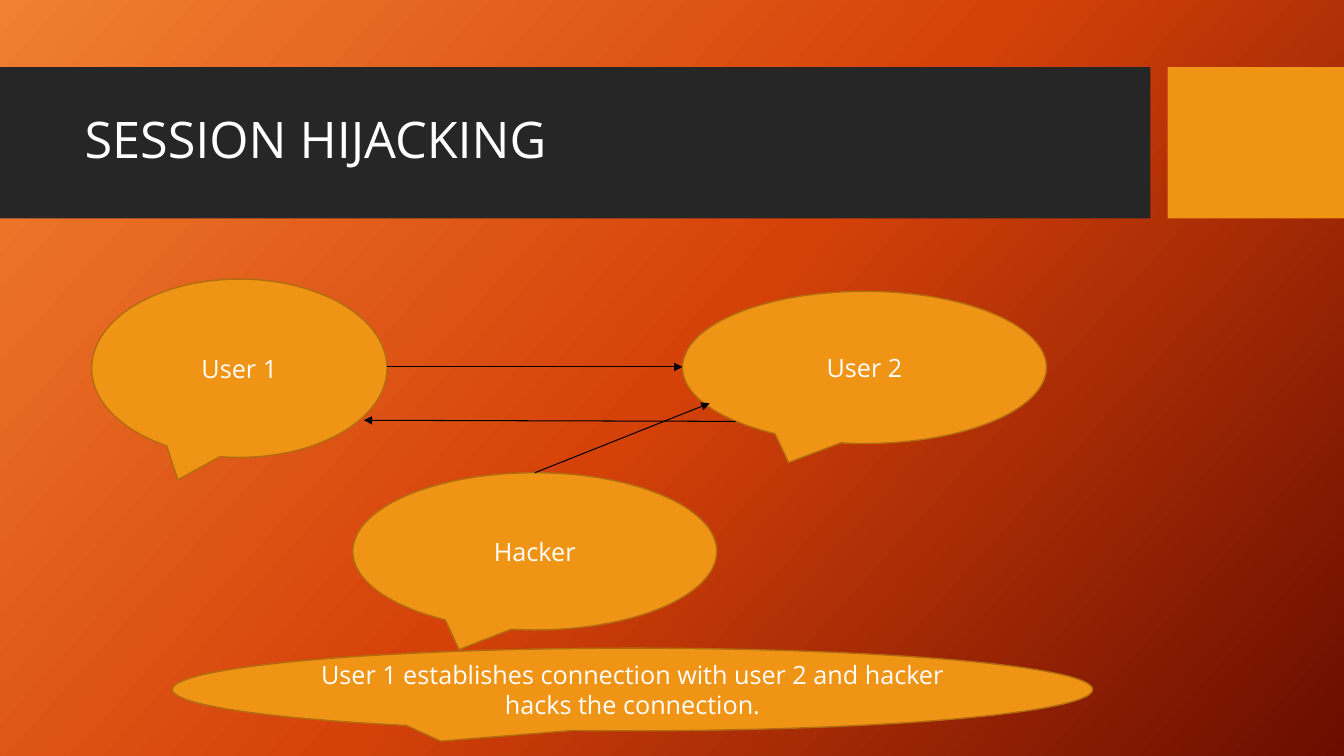
import copy
import pptx
import pptx.util
import pptx.dml.color
import pptx.enum.shapes
import pptx.enum.text
import pptx.oxml.ns
import pptx.oxml.xmlchemy

Pt = pptx.util.Pt
RGBColor = pptx.dml.color.RGBColor
MSO_SHAPE = pptx.enum.shapes.MSO_SHAPE
PP_ALIGN = pptx.enum.text.PP_ALIGN
qn = pptx.oxml.ns.qn

FONT = "Open Sans"
WHITE = RGBColor(0xFF, 0xFF, 0xFF)
BLACK = RGBColor(0x00, 0x00, 0x00)
CHARCOAL = RGBColor(0x26, 0x26, 0x26)
AMBER = RGBColor(0xF0, 0x94, 0x15)
BRONZE = RGBColor(0xB2, 0x6D, 0x10)
BACKGROUND_STOPS = [
    (0, RGBColor(0xF1, 0x80, 0x31)),
    (0.5, RGBColor(0xD5, 0x42, 0x09)),
    (1, RGBColor(0x6A, 0x0D, 0x00)),
]


def paint_background(slide):
    fill = slide.background.fill
    fill.gradient()
    fill.gradient_angle = 360 - 42
    stop_list = slide.element.find(".//" + qn("a:gsLst"))
    stop_list.append(copy.deepcopy(stop_list[-1]))
    for stop, (position, color) in zip(fill.gradient_stops, BACKGROUND_STOPS):
        stop.position = position
        stop.color.rgb = color


def write_text(shape, text, size, alignment):
    frame = shape.text_frame
    frame.word_wrap = True
    frame.vertical_anchor = pptx.enum.text.MSO_ANCHOR.MIDDLE
    paragraph = frame.paragraphs[0]
    paragraph.alignment = alignment
    run = paragraph.add_run()
    run.text = text
    run.font.name = FONT
    run.font.size = Pt(size)
    run.font.color.rgb = WHITE
    return paragraph


def add_filled_shape(slide, kind, left, top, width, height, color):
    shape = slide.shapes.add_shape(kind, Pt(left), Pt(top), Pt(width), Pt(height))
    shape.shadow.inherit = False
    shape.fill.solid()
    shape.fill.fore_color.rgb = color
    shape.line.fill.background()
    return shape


def add_callout(slide, left, top, width, height, text):
    callout = add_filled_shape(
        slide, MSO_SHAPE.OVAL_CALLOUT, left, top, width, height, AMBER)
    callout.line.color.rgb = BRONZE
    callout.line.width = Pt(1)
    write_text(callout, text, 18, PP_ALIGN.CENTER)


def add_arrow(slide, start_x, start_y, end_x, end_y):
    arrow = slide.shapes.add_connector(
        pptx.enum.shapes.MSO_CONNECTOR.STRAIGHT,
        Pt(start_x), Pt(start_y), Pt(end_x), Pt(end_y))
    arrow.line.color.rgb = BLACK
    arrow.line.width = Pt(0.75)
    head = pptx.oxml.xmlchemy.OxmlElement("a:tailEnd")
    head.set("type", "triangle")
    arrow.line._get_or_add_ln().append(head)
    properties = arrow._element.spPr
    properties.append(pptx.oxml.xmlchemy.OxmlElement("a:effectLst"))


def add_title_band(slide, left, top, width, height, title):
    block_width = 126
    band_width = width - block_width - 12.2
    add_filled_shape(slide, MSO_SHAPE.RECTANGLE, left, top, band_width, height, CHARCOAL)
    add_filled_shape(slide, MSO_SHAPE.RECTANGLE, left + width - block_width, top,
                     block_width, height, AMBER)
    title_box = slide.shapes.add_textbox(
        Pt(left + 53.3), Pt(top + 10.8), Pt(756.7), Pt(85))
    paragraph = write_text(title_box, title, 36, PP_ALIGN.LEFT)
    paragraph.line_spacing = 0.9


def add_hijacking_diagram(slide, left, top):
    callouts = [
        (0, 0, 211, 127.4, "User 1"),
        (422, 8.7, 260, 108.7, "User 2"),
        (186.5, 138.3, 260, 112.3, "Hacker"),
        (57.6, 263.6, 657.4, 59,
         "User 1 establishes connection with user 2 and hacker hacks the connection."),
    ]
    arrows = [
        (211, 62.7, 422, 62.7),
        (316.5, 138.3, 441.4, 88.6),
        (460, 101.6, 194.4, 100.8),
    ]
    for x, y, width, height, text in callouts:
        add_callout(slide, left + x, top + y, width, height, text)
    for start_x, start_y, end_x, end_y in arrows:
        add_arrow(slide, left + start_x, top + start_y, left + end_x, top + end_y)


presentation = pptx.Presentation()
presentation.slide_width = Pt(960)
presentation.slide_height = Pt(540)
slide = presentation.slides.add_slide(presentation.slide_layouts[6])
paint_background(slide)
add_title_band(slide, 0, 48, 960, 108, "SESSION HIJACKING")
add_hijacking_diagram(slide, 65.5, 199.4)
presentation.save("out.pptx")
